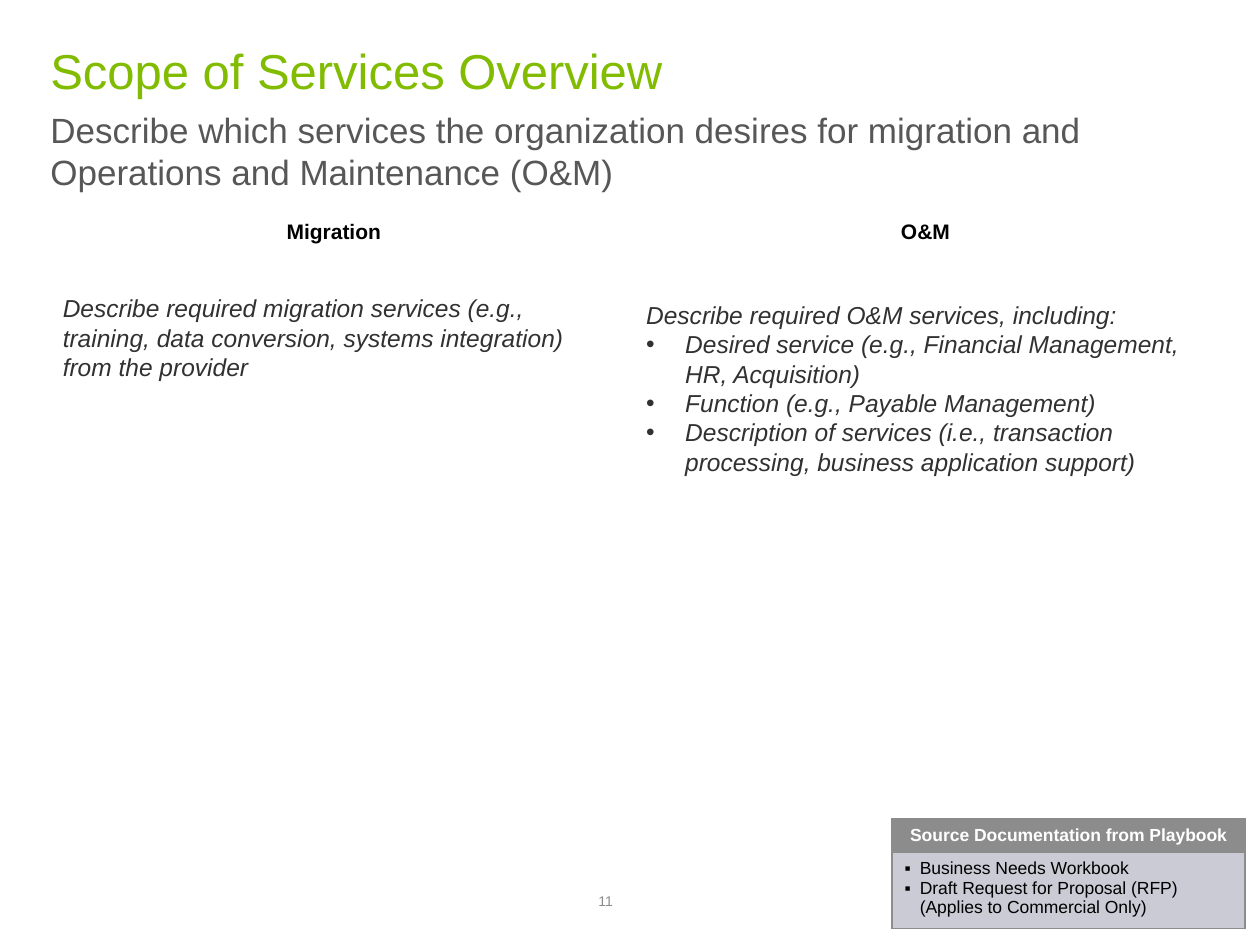
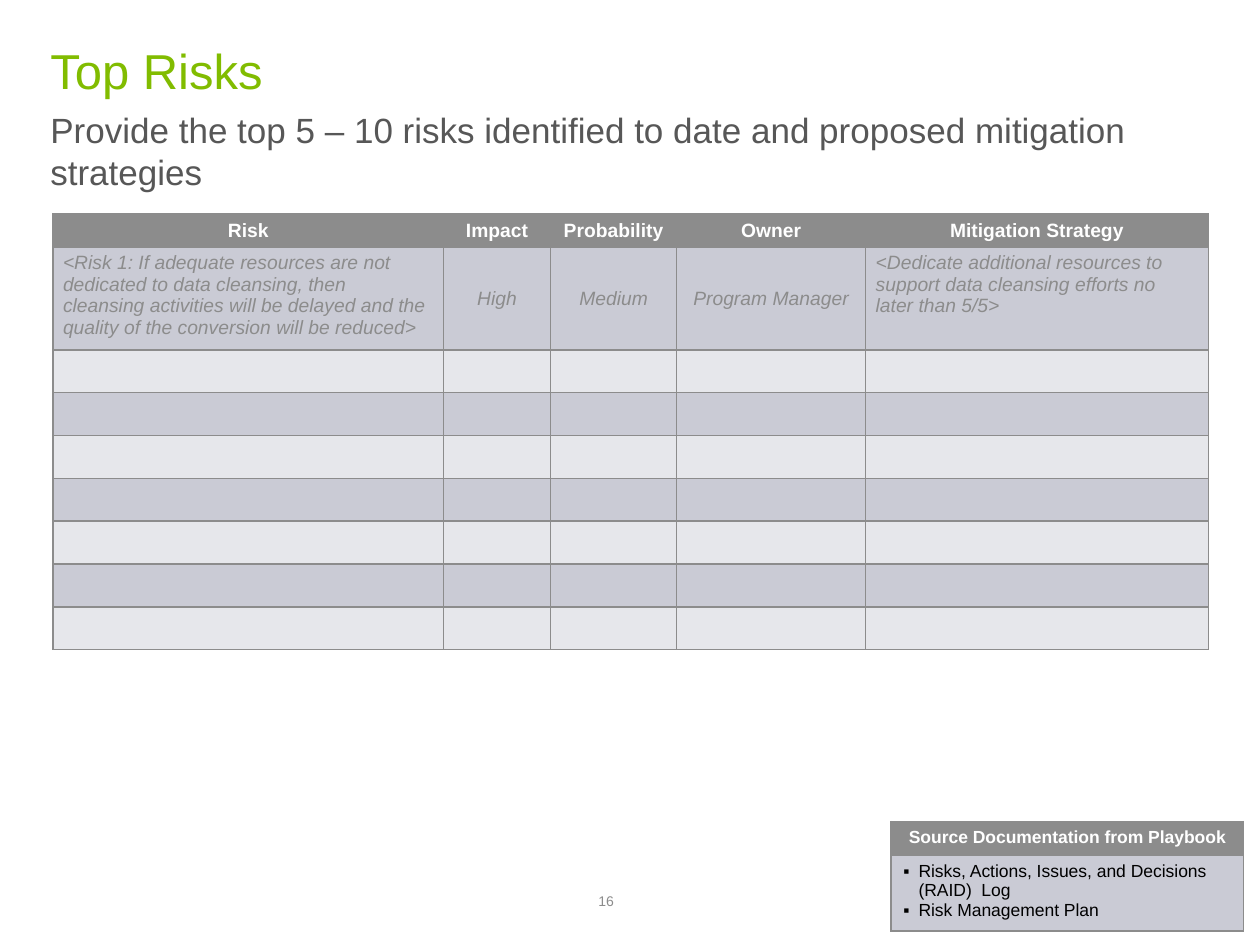
from lxml import etree
from pptx import Presentation
from pptx.dml.color import RGBColor
from pptx.enum.shapes import MSO_SHAPE
from pptx.enum.text import MSO_ANCHOR, PP_ALIGN
from pptx.oxml.ns import qn
from pptx.util import Inches, Pt

GREEN = RGBColor(0x81, 0xBC, 0x00)
SLATE = RGBColor(0x57, 0x57, 0x57)
INK = RGBColor(0x31, 0x31, 0x31)
GRAY = RGBColor(0x8C, 0x8C, 0x8C)
BAND_DARK = RGBColor(0xCA, 0xCB, 0xD5)
BAND_LIGHT = RGBColor(0xE6, 0xE7, 0xEB)
BLACK = RGBColor(0, 0, 0)
WHITE = RGBColor(0xFF, 0xFF, 0xFF)
FONT = "Arial"

RECTANGLE = MSO_SHAPE.RECTANGLE
TOP, MIDDLE, BOTTOM = MSO_ANCHOR.TOP, MSO_ANCHOR.MIDDLE, MSO_ANCHOR.BOTTOM
LEFT, CENTER = PP_ALIGN.LEFT, PP_ALIGN.CENTER

MARGIN = 0.4
CONTENT_WIDTH = 9.2


def style_runs(para, size, color, bold=False, italic=False):
    for span in para.runs:
        font = span.font
        font.name, font.size = FONT, Pt(size)
        font.bold, font.italic = bold, italic
        font.color.rgb = color


def add_bullet(para, symbol, indent):
    properties = para._p.get_or_add_pPr()
    properties.set("marL", str(Inches(indent)))
    properties.set("indent", str(-Inches(indent)))
    etree.SubElement(properties, qn("a:buFont"), typeface=FONT)
    etree.SubElement(properties, qn("a:buChar"), char=symbol)


def set_insets(target, horizontal, vertical):
    target.margin_left = target.margin_right = Inches(horizontal)
    target.margin_top = target.margin_bottom = Inches(vertical)


def add_text(page, box, text, size, color, insets=(0, 0), anchor=TOP, italic=False):
    frame = page.shapes.add_textbox(*map(Inches, box)).text_frame
    frame.word_wrap = True
    frame.vertical_anchor = anchor
    set_insets(frame, *insets)
    frame.text = text
    for para in frame.paragraphs:
        style_runs(para, size, color, italic=italic)
    return frame


def add_page_frame(deck, title, subtitle, number):
    """Add a page with its title, subtitle and page number."""
    page = deck.slides.add_slide(deck.slide_layouts[6])
    add_text(page, (4.75, 7.09, 0.5, 0.13), number, 8, GRAY, anchor=BOTTOM)
    add_text(page, (MARGIN, 0.86, CONTENT_WIDTH, 0.83), subtitle, 20, SLATE)
    add_text(page, (MARGIN, 0.32, CONTENT_WIDTH, 0.51), title, 28, GREEN)
    return page


def add_grid(page, left, top, columns, rows):
    box = map(Inches, (left, top, sum(columns), sum(rows)))
    table = page.shapes.add_table(len(rows), len(columns), *box).table
    table.first_row = table.horz_banding = False
    for column, width in zip(table.columns, columns):
        column.width = Inches(width)
    for row, height in zip(table.rows, rows):
        row.height = Inches(height)
    return table


def add_borders(cell):
    properties = cell._tc.get_or_add_tcPr()
    for side in ("a:lnL", "a:lnR", "a:lnT", "a:lnB"):
        line = etree.SubElement(properties, qn(side), w=str(Pt(1)))
        fill = etree.SubElement(line, qn("a:solidFill"))
        etree.SubElement(fill, qn("a:srgbClr"), val=str(GRAY))


def fill_cell(cell, text, fill, size, color, insets, align=LEFT, anchor=TOP,
              bold=False, italic=False):
    add_borders(cell)
    cell.fill.solid()
    cell.fill.fore_color.rgb = fill
    set_insets(cell, *insets)
    cell.vertical_anchor = anchor
    cell.text = text
    for para in cell.text_frame.paragraphs:
        para.alignment = align
        style_runs(para, size, color, bold, italic)
        if not para.runs:
            etree.SubElement(para._p, qn("a:endParaRPr"), sz=str(size * 100))


def add_source_box(page, left, top, documents):
    insets = (0.1, 0.05)
    table = add_grid(page, left, top, [2.8], [0.26, 0.56])
    fill_cell(table.cell(0, 0), "Source Documentation from Playbook", GRAY, 10, WHITE,
              insets, CENTER, bold=True)
    body = table.cell(1, 0)
    fill_cell(body, "\n".join(documents), BAND_DARK, 10, BLACK, insets)
    for para in body.text_frame.paragraphs:
        add_bullet(para, "▪", 0.12)


def add_column_label(page, box, text):
    label = page.shapes.add_shape(RECTANGLE, *map(Inches, box))
    label.shadow.inherit = False
    label.fill.solid()
    label.fill.fore_color.rgb = WHITE
    label.line.fill.background()
    frame = label.text_frame
    frame.word_wrap = False
    frame.vertical_anchor = MIDDLE
    set_insets(frame, 0.1, 0)
    frame.text = text
    para = frame.paragraphs[0]
    para.alignment = CENTER
    para.line_spacing = 1.06
    style_runs(para, 12, BLACK, bold=True)


def add_description(page, box, intro, bullets=()):
    frame = add_text(page, box, "\n".join([intro, *bullets]), 14, INK,
                     insets=(0.1, 0.05), italic=True)
    for para in frame.paragraphs[1:]:
        add_bullet(para, "•", 0.31)


def add_risk_table(page, left, top):
    headers = ["Risk", "Impact", "Probability", "Owner", "Mitigation Strategy"]
    example = [
        "<Risk 1: If adequate resources are not dedicated to data cleansing, then cleansing "
        "activities will be delayed and the quality of the conversion will be reduced>",
        "High", "Medium", "Program Manager",
        "<Dedicate additional resources to support data cleansing efforts no later than 5/5>",
    ]
    blank_rows = 7
    insets = (0.08, 0.04)
    table = add_grid(page, left, top, [3.1, 0.85, 1, 1.5, 2.72],
                     [0.25, 0.75] + [0.34] * blank_rows)
    for column, header in enumerate(headers):
        fill_cell(table.cell(0, column), header, GRAY, 11, WHITE, insets,
                  CENTER, MIDDLE, bold=True)
        is_long = column in (0, len(headers) - 1)
        align, anchor = (LEFT, TOP) if is_long else (CENTER, MIDDLE)
        entries = [example[column]] + [""] * blank_rows
        for row, entry in enumerate(entries, start=1):
            band = BAND_DARK if row % 2 else BAND_LIGHT
            fill_cell(table.cell(row, column), entry, band, 11, GRAY, insets,
                      align, anchor, italic=True)


def build_scope_page(deck):
    page = add_page_frame(
        deck, "Scope of Services Overview",
        "Describe which services the organization desires for migration and "
        "Operations and Maintenance (O&M)", "11")
    add_source_box(page, 7.08, 6.5, [
        "Business Needs Workbook",
        "Draft Request for Proposal (RFP) (Applies to Commercial Only)"])
    add_column_label(page, (2.17, 1.73, 0.96, 0.2), "Migration")
    add_column_label(page, (7.05, 1.73, 0.59, 0.2), "O&M")
    add_description(page, (5.03, 2.33, 4.57, 1.51),
                    "Describe required O&M services, including:", [
                        "Desired service (e.g., Financial Management, HR, Acquisition)",
                        "Function (e.g., Payable Management)",
                        "Description of services (i.e., transaction processing, "
                        "business application support)"])
    add_description(page, (MARGIN, 2.28, 4.46, 0.81),
                    "Describe required migration services (e.g., training, data conversion, "
                    "systems integration) from the provider")


def build_risks_page(deck):
    page = add_page_frame(
        deck, "Top Risks",
        "Provide the top 5 – 10 risks identified to date and proposed mitigation strategies",
        "16")
    add_risk_table(page, 0.42, 1.7)
    add_source_box(page, 7.07, 6.52, [
        "Risks, Actions, Issues, and Decisions (RAID)  Log",
        "Risk Management Plan"])


def main():
    deck = Presentation()
    deck.slide_width, deck.slide_height = Inches(10), Inches(7.5)
    build_scope_page(deck)
    build_risks_page(deck)
    deck.save("out.pptx")


if __name__ == "__main__":
    main()
